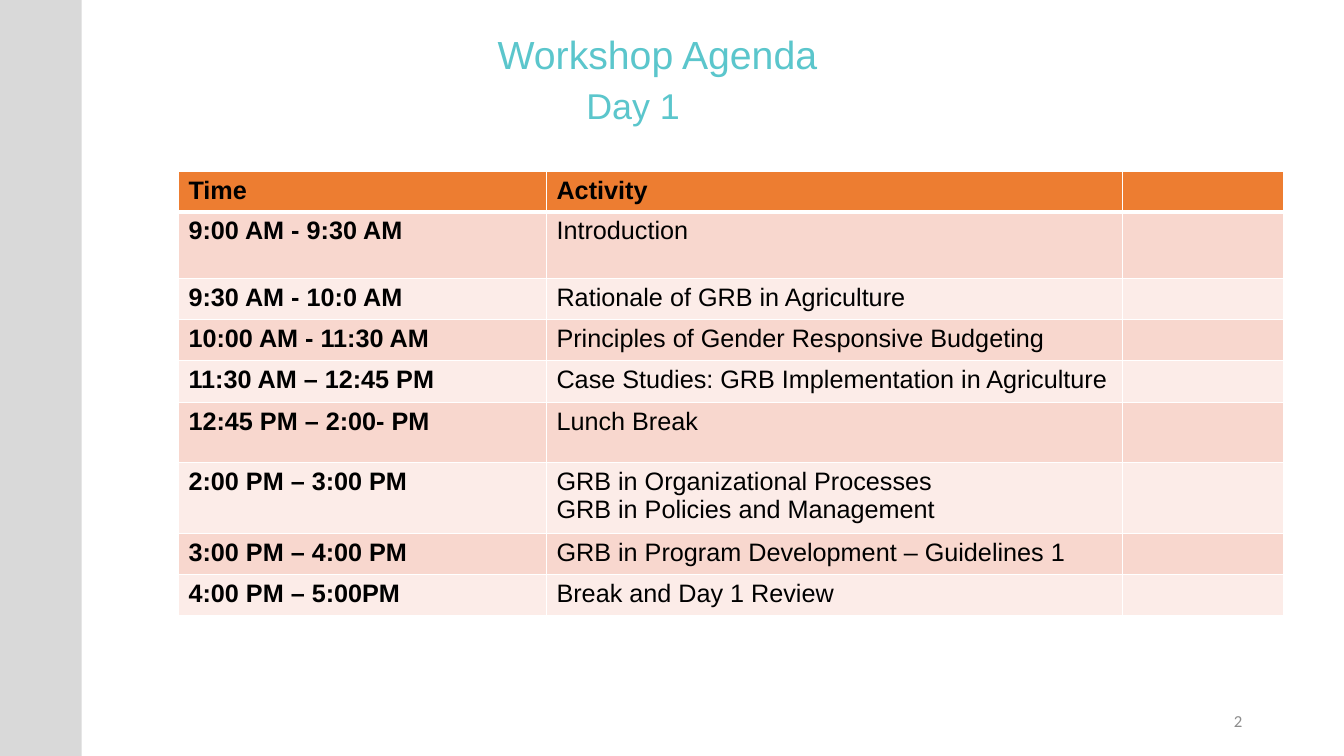
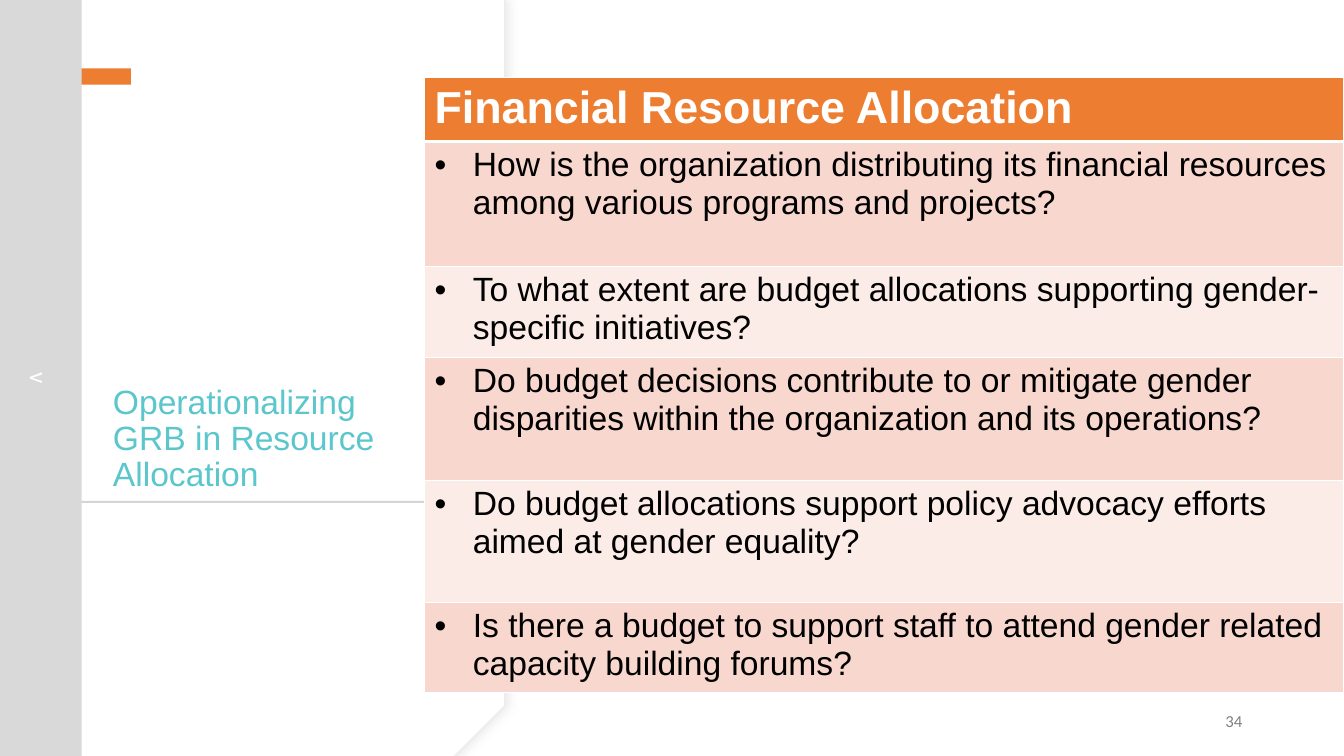
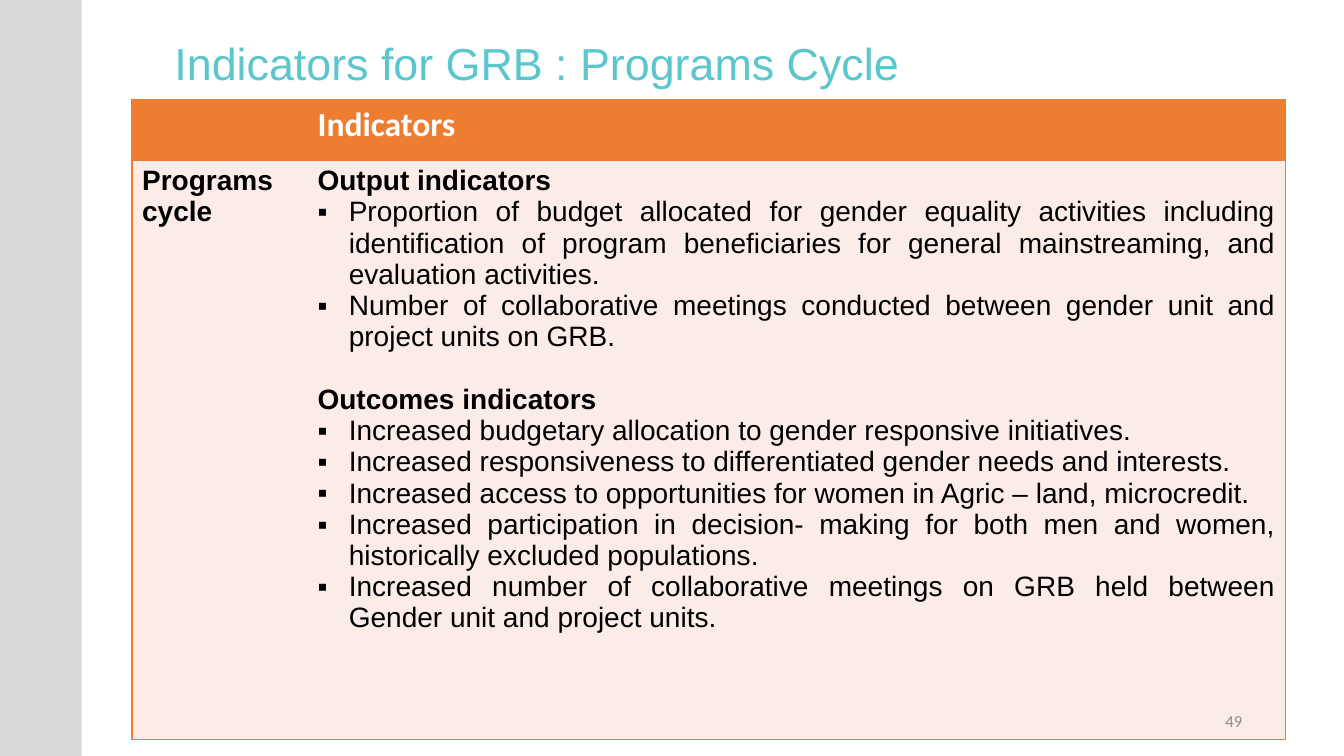
from dataclasses import dataclass
from typing import Optional

from lxml.etree import SubElement
from pptx import Presentation
from pptx.dml.color import RGBColor
from pptx.enum.shapes import MSO_SHAPE
from pptx.enum.text import MSO_ANCHOR, MSO_AUTO_SIZE, PP_ALIGN
from pptx.oxml.ns import qn
from pptx.util import Inches, Pt

COLORS = {
    "title": "5BC6CC",
    "accent": "ED7D31",
    "band_dark": "F8D7CE",
    "band_light": "FCECE8",
    "sidebar": "D9D9D9",
    "rule": "D5D5D5",
    "edge": "E6E6E6",
    "number": "8C8C8C",
    "number_dark": "808080",
    "white": "FFFFFF",
    "black": "000000",
}
BODY_FONT = "Arial"
NUMBER_FONT = "Calibri"


@dataclass(frozen=True)
class Box:
    left: float
    top: float
    width: float
    height: float

    def lengths(self):
        return tuple(Inches(v) for v in (self.left, self.top, self.width, self.height))


@dataclass(frozen=True)
class Line:
    text: str
    bold: bool = False
    bullet: Optional[str] = None
    space_before: float = 0


@dataclass(frozen=True)
class Grid:
    box: Box
    columns: tuple
    rows: tuple
    size: float
    header_size: float
    header_color: str
    bands: tuple
    border: str
    header_font: str = BODY_FONT
    header_rule: float = 3
    inner_vertical: bool = True
    indent: float = 0
    bullet_align: Optional[PP_ALIGN] = None


def rgb(name: str) -> RGBColor:
    return RGBColor.from_string(COLORS[name])


def write(paragraph, text: str, *, size: float, color: str, font: str = BODY_FONT,
          bold: bool = False, align=None, line_spacing=None, space_before: float = 0,
          bullet: Optional[str] = None, indent: float = 0) -> None:
    if bullet:
        properties = paragraph._p.get_or_add_pPr()
        properties.set("marL", str(Inches(indent)))
        properties.set("indent", str(-Inches(indent)))
        SubElement(properties, qn("a:buFont")).set("typeface", BODY_FONT)
        SubElement(properties, qn("a:buChar")).set("char", bullet)
    if align is not None:
        paragraph.alignment = align
    if line_spacing:
        paragraph.line_spacing = line_spacing
    if space_before:
        paragraph.space_before = Pt(space_before)
    run = paragraph.add_run()
    run.text = text
    run.font.name = font
    run.font.size = Pt(size)
    run.font.bold = bold
    run.font.color.rgb = rgb(color)


def add_title(slide, text: str, box: Box, size: float, anchor=MSO_ANCHOR.MIDDLE,
              align=PP_ALIGN.LEFT) -> None:
    title = slide.shapes.title
    title.left, title.top, title.width, title.height = box.lengths()
    frame = title.text_frame
    frame.word_wrap = True
    frame.auto_size = MSO_AUTO_SIZE.NONE
    frame.vertical_anchor = anchor
    write(frame.paragraphs[0], text, size=size, color="title", align=align, line_spacing=0.9)
    title.element.getparent().append(title.element)


def add_text(slide, text: str, box: Box, **style) -> None:
    frame = slide.shapes.add_textbox(*box.lengths()).text_frame
    frame.word_wrap = True
    frame.vertical_anchor = MSO_ANCHOR.MIDDLE
    write(frame.paragraphs[0], text, **style)


def add_page_number(slide, number: int, color: str = "number") -> None:
    add_text(slide, str(number), Box(9.42, 6.95, 3, 0.4), size=12, color=color,
             font=NUMBER_FONT, align=PP_ALIGN.RIGHT)


def add_bar(slide, box: Box, color: str):
    bar = slide.shapes.add_shape(MSO_SHAPE.RECTANGLE, *box.lengths())
    bar.shadow.inherit = False
    bar.fill.solid()
    bar.fill.fore_color.rgb = rgb(color)
    bar.line.fill.background()
    return bar


def add_sidebar(slide, mark: str = "") -> None:
    bar = add_bar(slide, Box(-3.35, 3.34, 7.5, 0.82), "sidebar")
    bar.rotation = 90
    if mark:
        bar.text_frame.vertical_anchor = MSO_ANCHOR.MIDDLE
        write(bar.text_frame.paragraphs[0], mark, size=18, color="white",
              font=NUMBER_FONT, align=PP_ALIGN.CENTER)


def bezier(points: tuple, steps: int = 24) -> list:
    def at(t: float) -> tuple:
        weights = ((1 - t) ** 3, 3 * t * (1 - t) ** 2, 3 * t * t * (1 - t), t ** 3)
        return tuple(sum(w * p[axis] for w, p in zip(weights, points)) for axis in (0, 1))

    return [at(step / steps) for step in range(1, steps + 1)]


def add_curved_panel(slide, right: float, outlined: bool) -> None:
    shoulder, bulge = right - 0.85, right - 0.31
    upper = bezier(((shoulder, 0.13), (bulge, 1.14), (right, 2.39), (right, 3.75)))
    lower = [(x, 7.5 - y) for x, y in reversed(upper[:-1])]
    corner = right - 0.93
    outline = [(corner, 0), (shoulder, 0.13), *upper, *lower,
               (shoulder, 7.37), (corner, 7.5), (0, 7.5)]
    builder = slide.shapes.build_freeform(0, 0, scale=Inches(1))
    builder.add_line_segments(outline, close=True)
    panel = builder.convert_to_shape()
    panel.shadow.inherit = False
    panel.fill.solid()
    panel.fill.fore_color.rgb = rgb("white")
    if not outlined:
        panel.line.fill.background()
        return
    panel.line.color.rgb = rgb("edge")
    panel.line.width = Pt(0.75)
    effects = panel.element.spPr.find(qn("a:effectLst"))
    shadow = SubElement(effects, qn("a:outerShdw"), blurRad=str(Pt(6)), dist=str(Pt(3)), dir="0")
    tint = SubElement(shadow, qn("a:srgbClr"), val=COLORS["sidebar"])
    SubElement(tint, qn("a:alpha"), val="50000")


def set_border(cell, side: str, color: Optional[str], weight: float) -> None:
    line = SubElement(cell._tc.get_or_add_tcPr(), qn(f"a:ln{side}"), w=str(Pt(weight)))
    if color is None:
        SubElement(line, qn("a:noFill"))
    else:
        fill = SubElement(line, qn("a:solidFill"))
        SubElement(fill, qn("a:srgbClr"), val=COLORS[color])


def style_cell(cell, grid: Grid, row: int, column: int) -> None:
    last = len(grid.columns) - 1
    side_color = {
        "L": grid.border if grid.inner_vertical or column == 0 else None,
        "R": grid.border if grid.inner_vertical or column == last else None,
    }
    for side, color in side_color.items():
        set_border(cell, side, color, 1)
    set_border(cell, "T", grid.border, grid.header_rule if row == 1 else 1)
    set_border(cell, "B", grid.border, grid.header_rule if row == 0 else 1)
    cell.fill.solid()
    band = grid.bands[(row - 1) % len(grid.bands)]
    cell.fill.fore_color.rgb = rgb("accent" if row == 0 else band)


def add_grid(slide, grid: Grid, contents: list) -> None:
    frame = slide.shapes.add_table(len(grid.rows), len(grid.columns), *grid.box.lengths())
    table = frame.table
    for column, width in zip(table.columns, grid.columns):
        column.width = Inches(width)
    for row, height in zip(table.rows, grid.rows):
        row.height = Inches(height)
    for row_index in range(len(grid.rows)):
        for column_index in range(len(grid.columns)):
            style_cell(table.cell(row_index, column_index), grid, row_index, column_index)
    for row_index, row_contents in enumerate(contents):
        header = row_index == 0
        for column_index, lines in enumerate(row_contents):
            text_frame = table.cell(row_index, column_index).text_frame
            for index, line in enumerate(lines):
                paragraph = text_frame.add_paragraph() if index else text_frame.paragraphs[0]
                write(paragraph, line.text,
                      size=grid.header_size if header else grid.size,
                      color=grid.header_color if header else "black",
                      font=grid.header_font if header else BODY_FONT,
                      bold=header or line.bold, bullet=line.bullet, indent=grid.indent,
                      align=grid.bullet_align if line.bullet else None,
                      space_before=line.space_before)


def build_agenda(slide) -> None:
    add_title(slide, "Workshop Agenda", Box(1.1, 0.25, 10.84, 0.63), 28, align=PP_ALIGN.CENTER)
    add_page_number(slide, 2)
    sessions = [
        ("Time", "Activity"),
        ("9:00 AM - 9:30 AM", "Introduction"),
        ("9:30 AM - 10:0 AM", "Rationale of GRB in Agriculture"),
        ("10:00 AM - 11:30 AM", "Principles of Gender Responsive Budgeting"),
        ("11:30 AM – 12:45 PM", "Case Studies: GRB Implementation in Agriculture"),
        ("12:45 PM – 2:00- PM", "Lunch Break"),
        ("2:00 PM – 3:00 PM", "GRB in Organizational Processes", "GRB in Policies and Management"),
        ("3:00 PM – 4:00 PM", "GRB in Program Development – Guidelines 1"),
        ("4:00 PM – 5:00PM", "Break and Day 1 Review"),
    ]
    grid = Grid(
        box=Box(1.77, 1.7, 10.96, 4.37), columns=(3.65, 5.71, 1.6),
        rows=(0.4, 0.66, 0.41, 0.41, 0.41, 0.6, 0.66, 0.41, 0.41),
        size=18, header_size=18, header_color="black",
        bands=("band_dark", "band_light"), border="white",
    )
    add_grid(slide, grid, [([Line(time, bold=True)], [Line(activity) for activity in activities])
                           for time, *activities in sessions])
    add_text(slide, "Day 1", Box(3.53, 0.88, 5.5, 0.43), size=25.6, color="title",
             align=PP_ALIGN.CENTER, line_spacing=0.7)
    add_sidebar(slide)


def build_allocation(slide) -> None:
    add_curved_panel(slide, 5.42, outlined=True)
    add_curved_panel(slide, 5.41, outlined=False)
    add_title(slide, "Operationalizing GRB in Resource Allocation",
              Box(1.02, 2.96, 2.92, 1.99), 24, anchor=MSO_ANCHOR.BOTTOM)
    add_bar(slide, Box(0.53, 0.68, 0.77, 0.16), "accent")
    add_bar(slide, Box(0.53, 4.97, 4.4, 0.02), "rule")
    add_page_number(slide, 34, "number_dark")
    questions = [
        "How is the organization distributing its financial resources among various programs and projects?",
        "To what extent are budget allocations supporting gender-specific initiatives?",
        "Do budget decisions contribute to or mitigate gender disparities within the organization and its operations?",
        "Do budget allocations support policy advocacy efforts aimed at gender equality?",
        "Is there a budget to support staff to attend gender related capacity building forums?",
    ]
    grid = Grid(
        box=Box(4.21, 0.77, 9.12, 5.94), columns=(9.12,),
        rows=(0.59, 1.24, 0.84, 1.22, 1.21, 0.84),
        size=24, header_size=32, header_color="white",
        bands=("band_dark", "band_light"), border="white", indent=0.38,
    )
    add_grid(slide, grid, [([Line("Financial Resource Allocation")],),
                           *(([Line(question, bullet="•")],) for question in questions)])
    add_sidebar(slide, "v")


def build_indicators(slide) -> None:
    add_title(slide, "Indicators for GRB : Programs Cycle", Box(1.63, 0.1, 11.13, 1.1), 32)
    outputs = [
        "Proportion of budget allocated for gender equality activities including identification of "
        "program beneficiaries for general mainstreaming, and evaluation activities.",
        "Number of collaborative meetings conducted between gender unit and project units on GRB.",
    ]
    outcomes = [
        "Increased budgetary allocation to gender responsive initiatives.",
        "Increased responsiveness to differentiated gender needs and interests.",
        "Increased access to opportunities for women in Agric – land, microcredit.",
        "Increased participation in decision- making for both men and women, historically "
        "excluded populations.",
        "Increased number of collaborative meetings on GRB held between Gender unit and project units.",
    ]
    indicators = [
        Line("Output indicators", bold=True),
        *(Line(text, bullet="▪") for text in outputs),
        Line("Outcomes indicators", bold=True, space_before=22.3),
        *(Line(text, bullet="▪") for text in outcomes),
    ]
    grid = Grid(
        box=Box(1.31, 0.99, 11.44, 6.35), columns=(1.74, 9.7), rows=(0.6, 5.75),
        size=20, header_size=24, header_color="white", header_font="Calibri",
        bands=("band_light",), border="accent", header_rule=1, inner_vertical=False,
        indent=0.31, bullet_align=PP_ALIGN.JUSTIFY,
    )
    add_grid(slide, grid, [([], [Line("Indicators")]),
                           ([Line("Programs cycle", bold=True)], indicators)])
    add_page_number(slide, 49)
    add_sidebar(slide)


def main() -> None:
    presentation = Presentation()
    presentation.slide_width = Inches(13.33)
    presentation.slide_height = Inches(7.5)
    title_only = presentation.slide_layouts[5]
    for build in (build_agenda, build_allocation, build_indicators):
        build(presentation.slides.add_slide(title_only))
    presentation.save("out.pptx")


if __name__ == "__main__":
    main()
